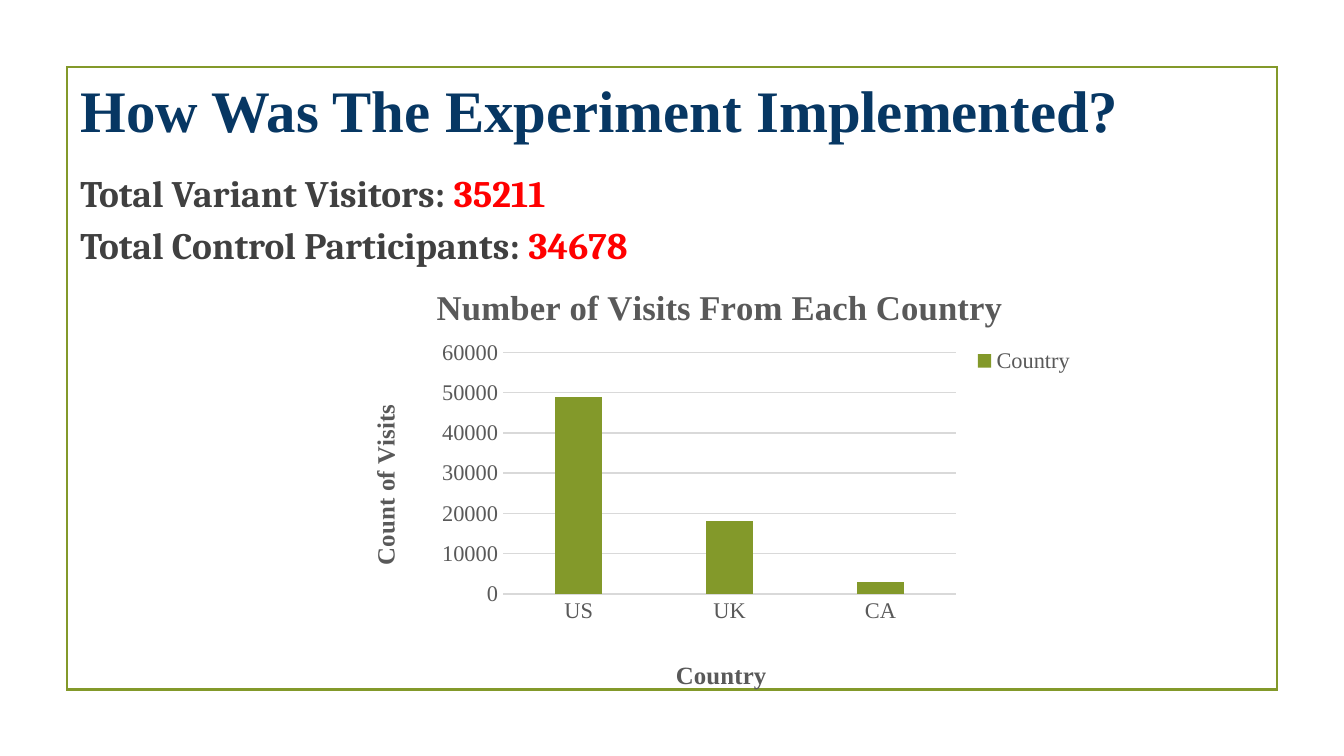
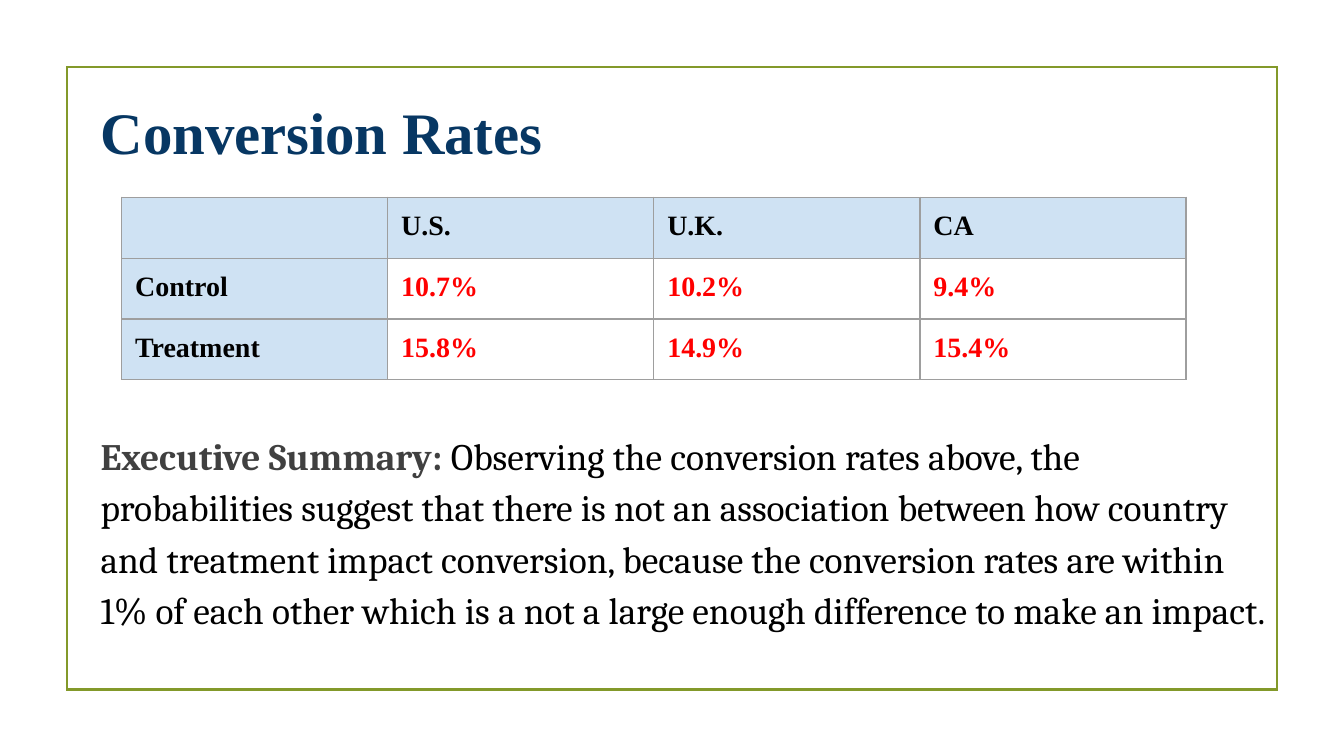
import pptx
import pptx.chart.data
import pptx.dml.color
import pptx.enum.chart
import pptx.enum.shapes
import pptx.enum.text
import pptx.oxml
import pptx.oxml.ns
import pptx.util

SERIF, BODY = "Times New Roman", "Cambria"
GREEN, NAVY, RED, BLACK = "83992A", "073763", "FF0000", "000000"
DARK_GRAY, CHART_GRAY, GRID_GRAY = "404040", "595959", "D9D9D9"
BORDER_GRAY, PALE_BLUE, WHITE = "9E9E9E", "CFE2F3", "FFFFFF"
color = pptx.dml.color.RGBColor.from_string
qn = pptx.oxml.ns.qn

# Widescreen slides, 16 to 9
presentation = pptx.Presentation()
presentation.slide_width = pptx.util.Inches(10)
presentation.slide_height = presentation.slide_width * 9 // 16
title_only = presentation.slide_layouts[5]


def place(left, top, width, height):
    """Turn percentages of the slide into a position and size."""
    across, down = presentation.slide_width / 100, presentation.slide_height / 100
    return [int(left * across), int(top * down), int(width * across), int(height * down)]


def style_font(font, name, size, hex_color, bold=False):
    font.name, font.size, font.bold = name, pptx.util.Pt(size), bold
    font.color.rgb = color(hex_color)


# Slides with their titles and body text; each run is (text, colour, bold)
pages = [
    {
        "title": "How Was The Experiment Implemented?",
        "title_box": (5, 8, 90, 13),
        "body_box": (5, 19.9, 90, 23.8),
        "body": [
            [("Total Variant Visitors: ", DARK_GRAY, True), ("35211", RED, True)],
            [("Total Control Participants:", DARK_GRAY, True), (" ", BLACK, False),
             ("34678", RED, True)],
        ],
    },
    {
        "title": "Conversion Rates",
        "title_box": (6.5, 10.9, 88.5, 13),
        "body_box": (6.5, 54.6, 89, 38),
        "body": [
            [("Executive Summary: ", DARK_GRAY, True),
             ("Observing the conversion rates above, the probabilities suggest that "
              "there is not an association between how country and treatment impact "
              "conversion, because the conversion rates are within 1% of each other "
              "which is a not a large enough difference to make an impact.", BLACK, False)],
        ],
    },
]
slides = []
for page in pages:
    slide = presentation.slides.add_slide(title_only)
    slides.append(slide)
    title = slide.shapes.title
    title.left, title.top, title.width, title.height = place(*page["title_box"])
    body = slide.shapes.add_textbox(*place(*page["body_box"]))
    for shape in (title, body):
        frame = shape.text_frame
        frame.word_wrap = True
        frame.auto_size = pptx.enum.text.MSO_AUTO_SIZE.NONE
        frame.vertical_anchor = pptx.enum.text.MSO_ANCHOR.TOP
        frame.margin_left = frame.margin_right = pptx.util.Inches(0.1)
        frame.margin_top = frame.margin_bottom = pptx.util.Inches(0.1)

    paragraph = title.text_frame.paragraphs[0]
    paragraph.alignment = pptx.enum.text.PP_ALIGN.LEFT
    run = paragraph.add_run()
    run.text = page["title"]
    style_font(run.font, SERIF, 31.5, NAVY, True)

    for index, runs in enumerate(page["body"]):
        frame = body.text_frame
        paragraph = frame.add_paragraph() if index else frame.paragraphs[0]
        paragraph.line_spacing = 1.15
        for text, hex_color, bold in runs:
            run = paragraph.add_run()
            run.text = text
            style_font(run.font, BODY, 20, hex_color, bold)

# Shared green frame with sharp corners, moved to the layout
border = slides[0].shapes.add_shape(
    pptx.enum.shapes.MSO_SHAPE.RECTANGLE, *place(5, 8.9, 90, 82.3))
border.shadow.inherit = False
border.fill.background()
border.line.color.rgb = color(GREEN)
border.line.width = pptx.util.Pt(1.25)
border._element.find(".//" + qn("a:ln")).append(pptx.oxml.parse_xml(
    f'<a:miter {pptx.oxml.ns.nsdecls("a")} lim="800000"/>'))
title_only.shapes._spTree.append(border._element)

# Visits chart
chart_data = pptx.chart.data.CategoryChartData()
chart_data.categories = ["US", "UK", "CA"]
chart_data.add_series("Country", (49000, 18000, 3000))
chart = slides[0].shapes.add_chart(
    pptx.enum.chart.XL_CHART_TYPE.COLUMN_CLUSTERED,
    *place(26.6, 35.2, 54.3, 57.1), chart_data).chart
style_font(chart.font, SERIF, 10, BLACK)
plot = chart.plots[0]
plot.gap_width, plot.overlap, plot.vary_by_categories = 219, -27, False
plot.series[0].format.fill.solid()
plot.series[0].format.fill.fore_color.rgb = color(GREEN)

category_axis, value_axis = chart.category_axis, chart.value_axis
for axis in (category_axis, value_axis):
    axis.major_tick_mark = axis.minor_tick_mark = pptx.enum.chart.XL_TICK_MARK.NONE
    style_font(axis.tick_labels.font, SERIF, 12, CHART_GRAY)
value_axis.minimum_scale, value_axis.maximum_scale, value_axis.major_unit = 0, 60000, 10000
value_axis.format.line.fill.background()
for line in (category_axis.format.line, value_axis.major_gridlines.format.line):
    line.color.rgb = color(GRID_GRAY)
    line.width = pptx.util.Pt(0.75)

chart.has_legend = True
chart.legend.position = pptx.enum.chart.XL_LEGEND_POSITION.RIGHT
chart.legend.include_in_layout = False
style_font(chart.legend.font, SERIF, 12, CHART_GRAY)

for heading, text, size in (
        (chart.chart_title, "Number of Visits From Each Country", 18.6),
        (category_axis.axis_title, "Country", 13.3),
        (value_axis.axis_title, "Count of Visits", 13.3)):
    run = heading.text_frame.paragraphs[0].add_run()
    run.text = text
    style_font(run.font, SERIF, size, CHART_GRAY, True)
value_title = value_axis.axis_title._element
value_title.find(".//" + qn("a:bodyPr")).set("rot", "-5400000")

# Chart parts placed by shares of the chart's size
plot_area = chart._chartSpace.find(".//" + qn("c:plotArea"))
for part, position in (
        (plot_area, {"x": 0.195, "y": 0.204, "w": 0.622, "h": 0.56}),
        (chart.chart_title._element, {"x": 0.1, "y": 0.03}),
        (category_axis.axis_title._element, {"x": 0.43, "y": 0.9}),
        (value_title, {"x": 0.01, "y": 0.31}),
        (chart.legend._element, {"x": 0.84, "y": 0.18})):
    for old_layout in part.findall(qn("c:layout")):
        part.remove(old_layout)
    target = '<c:layoutTarget val="inner"/>' if part is plot_area else ""
    modes = "".join(f'<c:{key}Mode val="edge"/>' for key in "xy")
    values = "".join(f'<c:{key} val="{value:.2f}"/>' for key, value in position.items())
    layout = pptx.oxml.parse_xml(
        f'<c:layout {pptx.oxml.ns.nsdecls("c")}><c:manualLayout>'
        f'{target}{modes}{values}</c:manualLayout></c:layout>')
    part.insert(0 if part is plot_area else 1, layout)

# Conversion table
rates = [
    ["", "U.S.", "U.K.", "CA"],
    ["Control", "10.7%", "10.2%", "9.4%"],
    ["Treatment", "15.8%", "14.9%", "15.4%"],
]
table = slides[1].shapes.add_table(3, 4, *place(9.05, 26.1, 79.2, 24)).table
for row_index, row in enumerate(rates):
    for column_index, text in enumerate(row):
        cell = table.cell(row_index, column_index)
        is_heading = row_index == 0 or column_index == 0
        cell.margin_left = cell.margin_right = pptx.util.Inches(0.1)
        cell.margin_top = cell.margin_bottom = pptx.util.Inches(0.1)
        properties = cell._tc.get_or_add_tcPr()
        for side in "LRTB":
            properties.append(pptx.oxml.parse_xml(
                f'<a:ln{side} {pptx.oxml.ns.nsdecls("a")} w="9525"><a:solidFill>'
                f'<a:srgbClr val="{BORDER_GRAY}"/></a:solidFill></a:ln{side}>'))
        cell.fill.solid()
        cell.fill.fore_color.rgb = color(PALE_BLUE if is_heading else WHITE)
        paragraph = cell.text_frame.paragraphs[0]
        if text:
            run = paragraph.add_run()
            run.text = text
            style_font(run.font, SERIF, 15, BLACK if is_heading else RED, True)
        else:
            # Keeps the empty corner from stretching its row
            paragraph._p.append(pptx.oxml.parse_xml(
                f'<a:endParaRPr {pptx.oxml.ns.nsdecls("a")} sz="1500"/>'))

presentation.save("out.pptx")
